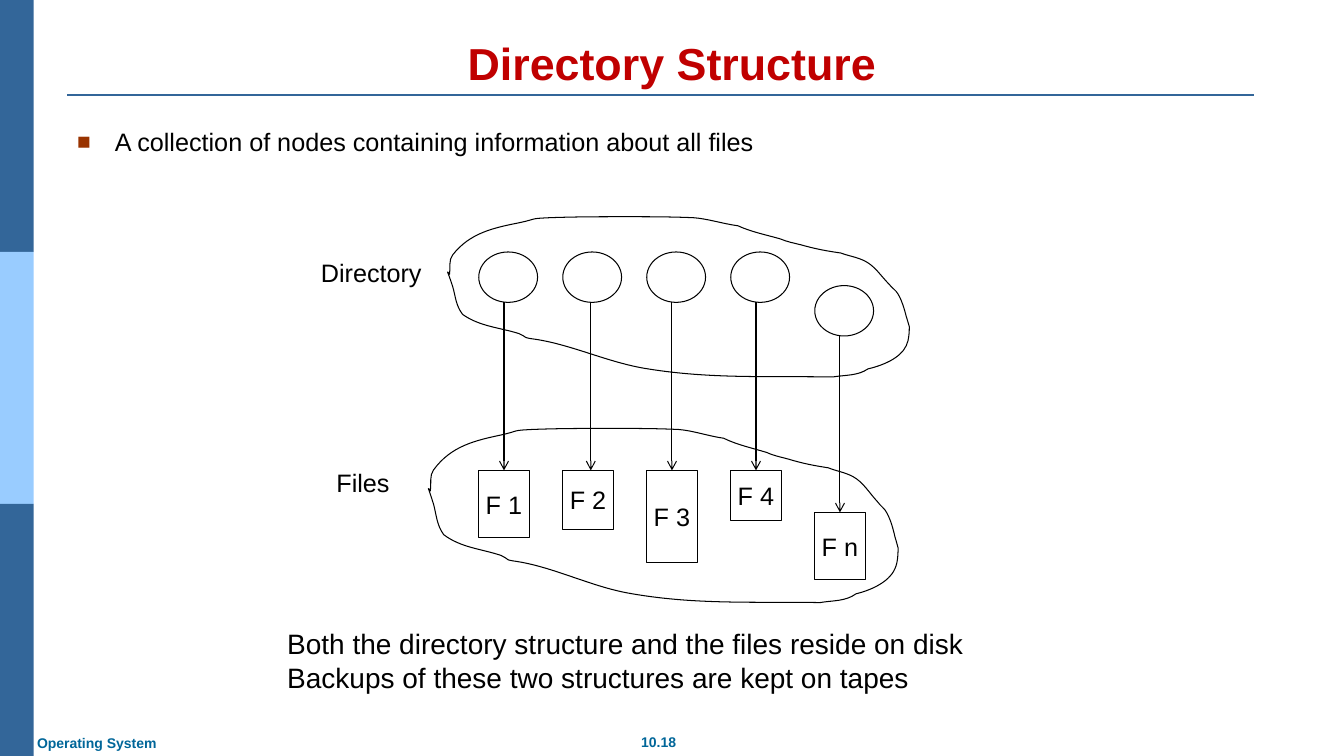
"""Build the Directory Structure slide: directory nodes pointing to files."""
from dataclasses import dataclass
from itertools import chain
from lxml.etree import SubElement
from pptx import Presentation
from pptx.dml.color import RGBColor
from pptx.enum.shapes import MSO_CONNECTOR, MSO_SHAPE
from pptx.enum.text import MSO_ANCHOR, PP_ALIGN
from pptx.oxml.ns import qn
from pptx.util import Pt


@dataclass(frozen=True)
class Theme:
    font: str = "Arial"
    ink: RGBColor = RGBColor.from_string("000000")
    paper: RGBColor = RGBColor.from_string("FFFFFF")
    title: RGBColor = RGBColor.from_string("C00000")
    footer: RGBColor = RGBColor.from_string("006699")
    dark_band: RGBColor = RGBColor.from_string("336699")
    light_band: RGBColor = RGBColor.from_string("99CCFF")
    bullet: str = "993300"
    title_size: int = 32
    note_size: int = 20
    body_size: int = 18
    footer_size: int = 10


theme = Theme()


def write(frame, text, size=theme.body_size, color=theme.ink, bold=False,
          align=PP_ALIGN.LEFT, anchor=MSO_ANCHOR.TOP, wrap=False):
    frame.word_wrap = wrap
    frame.vertical_anchor = anchor
    frame.text = text
    for paragraph in frame.paragraphs:
        paragraph.alignment = align
        font = paragraph.font
        font.name, font.size, font.bold = theme.font, Pt(size), bold
        font.color.rgb = color


def connect(x1, y1, x2, y2, color=theme.ink, width=0.75, arrow=False):
    connector = shapes.add_connector(
        MSO_CONNECTOR.STRAIGHT, Pt(x1), Pt(y1), Pt(x2), Pt(y2))
    connector.line.color.rgb = color
    connector.line.width = Pt(width)
    if arrow:
        SubElement(connector.line._get_or_add_ln(), qn("a:tailEnd"), type="arrow")
    SubElement(connector._element.spPr, qn("a:effectLst"))


presentation = Presentation()
presentation.slide_width, presentation.slide_height = Pt(960), Pt(540)
slide = presentation.slides.add_slide(presentation.slide_layouts[6])
shapes = slide.shapes

for row, color in enumerate([theme.dark_band, theme.light_band, theme.dark_band]):
    band = shapes.add_shape(MSO_SHAPE.RECTANGLE, 0, Pt(180 * row), Pt(24), Pt(180))
    band.shadow.inherit = False
    band.fill.solid()
    band.fill.fore_color.rgb = color
    band.line.fill.background()
connect(48, 67.7, 895.7, 67.7, color=theme.dark_band, width=1.5)

center_middle = dict(align=PP_ALIGN.CENTER, anchor=MSO_ANCHOR.MIDDLE)
footer = dict(size=theme.footer_size, color=theme.footer, bold=True)
labels = [
    ("10.18", (450, 520.6, 41, 19.4), dict(footer, align=PP_ALIGN.CENTER)),
    ("Operating System", (19.4, 521.3, 100.8, 19.4), footer),
    ("Directory Structure", (48, 22, 864, 45.4),
     dict(size=theme.title_size, color=theme.title, bold=True, wrap=True,
          align=PP_ALIGN.CENTER, anchor=MSO_ANCHOR.BOTTOM)),
    ("Directory", (222, 180, 86.4, 28.8), center_middle),
    ("Files", (233, 330.2, 52.6, 28.8), center_middle),
    ("Both the directory structure and the files reside on disk\n"
     "Backups of these two structures are kept on tapes",
     (198, 444, 553.7, 30), dict(size=theme.note_size, wrap=True)),
]
for text, box, style in labels:
    write(shapes.add_textbox(*map(Pt, box)).text_frame, text, **style)

body = shapes.add_textbox(Pt(48), Pt(89.3), Pt(864), Pt(356.4)).text_frame
write(body, "A collection of nodes containing information about all files", wrap=True)
statement = body.paragraphs[0]
statement.line_spacing = 0.9
bullet_format = statement._p.get_or_add_pPr()
bullet_format.set("marL", str(Pt(27)))
bullet_format.set("indent", str(-Pt(27)))
bullet_color = SubElement(bullet_format, qn("a:buClr"))
SubElement(bullet_color, qn("a:srgbClr"), val=theme.bullet)
SubElement(bullet_format, qn("a:buSzPct"), val="90000")
SubElement(bullet_format, qn("a:buFont"), typeface=theme.font)
SubElement(bullet_format, qn("a:buChar"), char="■")
for default_run in bullet_format.findall(qn("a:defRPr")):
    bullet_format.append(default_run)

files = [
    ("F 1", 180, 336, 48, 360),
    ("F 2", 180, 336, 42, 422),
    ("F 3", 180, 336, 66, 480),
    ("F 4", 180, 336, 36, 540),
    ("F n", 204, 366, 48, 600),
]
for column, (name, node_top, file_top, file_height, arrow_x) in enumerate(files):
    left = 342 + 60 * column
    node = shapes.add_shape(MSO_SHAPE.OVAL, Pt(left), Pt(node_top), Pt(42), Pt(36))
    file = shapes.add_shape(
        MSO_SHAPE.RECTANGLE, Pt(left), Pt(file_top), Pt(36), Pt(file_height))
    for part in (node, file):
        part.shadow.inherit = False
        part.fill.solid()
        part.fill.fore_color.rgb = theme.paper
        part.line.color.rgb = theme.ink
        part.line.width = Pt(0.75)
    write(file.text_frame, name, **center_middle)
    connect(arrow_x, node_top + 36, arrow_x, file_top, arrow=True)

cloud_width, cloud_height = 458, 161
cloud_start = (2, 57)
cloud_curves = [
    (3, 50, 1, 43, 5, 38), (22, 16, 46, 11, 71, 6), (90, 2, 80, 2, 101, 1),
    (127, 0, 152, 0, 177, 0), (199, 0, 221, 0, 244, 1), (258, 2, 273, 7, 288, 9),
    (301, 15, 316, 18, 330, 22), (337, 25, 343, 26, 351, 28),
    (365, 32, 376, 34, 390, 36), (398, 39, 406, 40, 414, 44),
    (424, 49, 430, 59, 438, 67), (441, 71, 445, 73, 447, 77),
    (451, 84, 453, 91, 455, 99), (456, 102, 458, 109, 458, 109),
    (458, 113, 458, 122, 455, 128), (449, 141, 430, 148, 417, 151),
    (407, 158, 394, 157, 382, 159), (318, 158, 261, 161, 199, 151),
    (159, 145, 122, 126, 83, 121), (81, 121, 79, 120, 78, 120),
    (76, 119, 74, 117, 71, 116), (52, 110, 32, 109, 15, 97),
    (8, 88, 8, 79, 5, 69), (5, 69, 1, 57, 0, 55), (0, 54, 1, 56, 2, 57),
]
coordinates = list(chain.from_iterable(cloud_curves))
control_points = list(zip(coordinates[::2], coordinates[1::2]))

for left, top, width, height in [(319.7, 154.8, 329.8, 115.9), (306, 306, 335.5, 126)]:
    scale = (Pt(width) / cloud_width, Pt(height) / cloud_height)
    builder = shapes.build_freeform(*cloud_start, scale=scale)
    builder.add_line_segments(control_points, close=True)
    cloud = builder.convert_to_shape(Pt(left), Pt(top))
    segments = list(cloud._element.iter(qn("a:lnTo")))
    for curve, *others in zip(segments[::3], segments[1::3], segments[2::3]):
        curve.tag = qn("a:cubicBezTo")
        for other in others:
            curve.append(other[0])
            other.getparent().remove(other)
    cloud.shadow.inherit = False
    cloud.fill.background()
    cloud.line.color.rgb = theme.ink
    cloud.line.width = Pt(0.75)

presentation.save("out.pptx")
